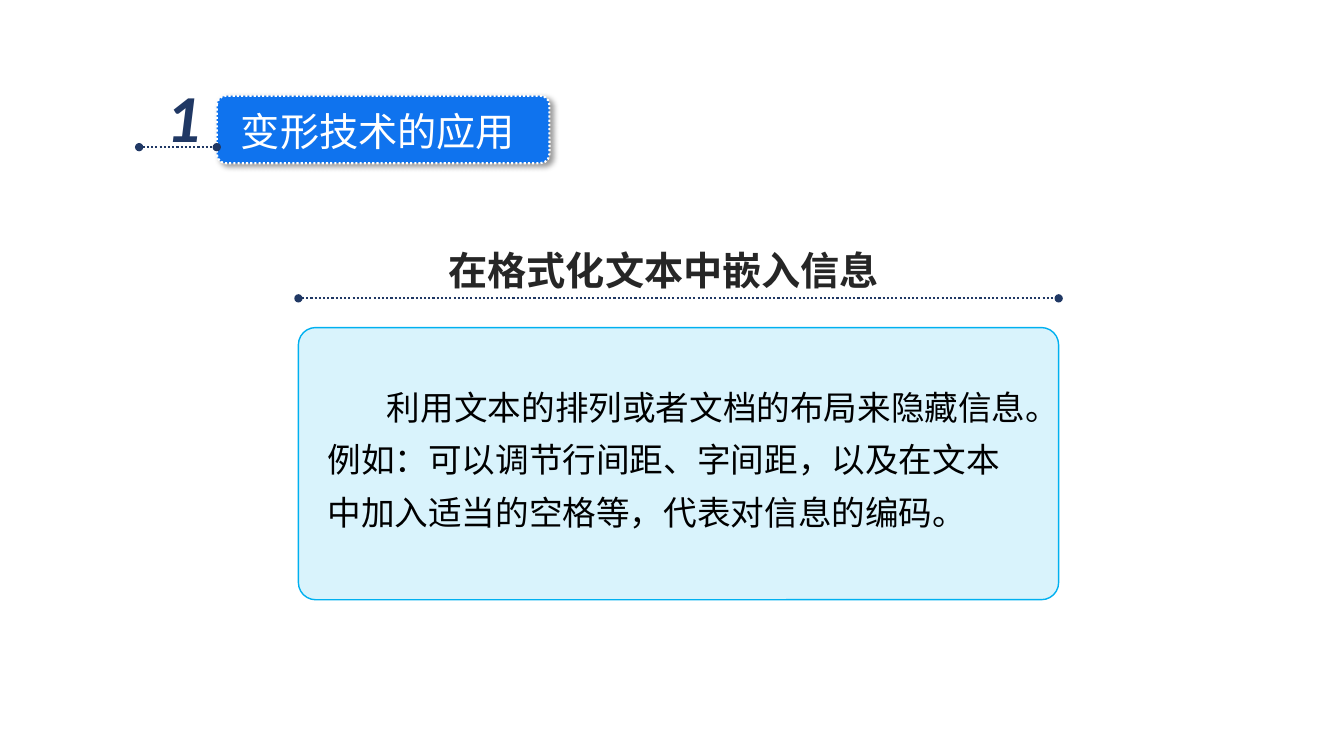
from lxml.etree import SubElement
from pptx import Presentation
from pptx.dml.color import RGBColor
from pptx.enum.dml import MSO_LINE
from pptx.enum.shapes import MSO_CONNECTOR, MSO_SHAPE
from pptx.enum.text import MSO_ANCHOR, MSO_AUTO_SIZE, PP_ALIGN
from pptx.oxml.ns import qn
from pptx.util import Emu, Pt

CJK = "Noto Sans CJK SC"
NAVY, BLUE, CYAN, WHITE = "203864", "0F73EE", "00B0F0", "FFFFFF"
INK, BLACK = "262626", "000000"


def px(n):
    """100 px make one inch."""
    return Emu(n * 9144)


def rgb(value):
    return RGBColor.from_string(value)


def add_xml(parent, tag, **attrs):
    return SubElement(parent, qn(tag), {k: str(v) for k, v in attrs.items()})


def style_line(line, color, width, dash=None):
    line.color.rgb = rgb(color)
    line.width = Pt(width)
    if dash:
        line.dash_style = dash


def write(sp, text, color, size, font, wrap=False, spacing=1.0, **font_format):
    """Fill a text box or placeholder with one left-aligned paragraph."""
    tf = sp.text_frame
    frame_format = {"word_wrap": wrap, "auto_size": MSO_AUTO_SIZE.SHAPE_TO_FIT_TEXT,
                    "vertical_anchor": MSO_ANCHOR.TOP}
    for name, value in frame_format.items():
        setattr(tf, name, value)
    p = tf.paragraphs[0]
    p.alignment = PP_ALIGN.LEFT
    p.line_spacing = spacing
    r = p.add_run()
    r.text = text
    for name, value in {"size": Pt(size), "name": font, **font_format}.items():
        setattr(r.font, name, value)
    r.font.color.rgb = rgb(color)
    add_xml(r.font._element, "a:ea", typeface=CJK)
    return p


def add_text(s, x, y, w, h, *args, **kwargs):
    return write(s.shapes.add_textbox(px(x), px(y), px(w), px(h)), *args, **kwargs)


def add_box(s, x, y, w, h, radius, fill):
    sp = s.shapes.add_shape(MSO_SHAPE.ROUNDED_RECTANGLE, px(x), px(y), px(w), px(h))
    sp.adjustments[0] = radius
    sp.shadow.inherit = False
    sp.fill.solid()
    sp.fill.fore_color.rgb = rgb(fill)
    return sp


def add_dotted_rule(s, x, y, w):
    """Dotted line with a round dot at each end."""
    rule = s.shapes.add_connector(MSO_CONNECTOR.STRAIGHT, px(x), px(y), px(x + w), px(y))
    style_line(rule.line, NAVY, 1.5, MSO_LINE.ROUND_DOT)
    ln = rule.line._get_or_add_ln()
    for end in ("a:headEnd", "a:tailEnd"):
        add_xml(ln, end, type="oval")
    add_xml(rule._element.spPr, "a:effectLst")


def add_header(s, x, y, w, h, number, text):
    """Numbered blue label holding the slide title."""
    label = add_box(s, x, y, w, h, 0.137, BLUE)
    style_line(label.line, WHITE, 1.5, MSO_LINE.ROUND_DOT)
    effects = label._element.spPr.find(qn("a:effectLst"))
    shadow = add_xml(effects, "a:outerShdw", blurRad=Pt(4), dist=Pt(3),
                     dir=45 * 60000, algn="tl", rotWithShape=0)
    add_xml(add_xml(shadow, "a:srgbClr", val=BLACK), "a:alpha", val=40000)

    title = s.shapes.title
    box = {"left": x + 14, "top": y + 6, "width": w - 35, "height": h - 10}
    for name, value in box.items():
        setattr(title, name, px(value))
    write(title, text, WHITE, 28, CJK)
    s.shapes._spTree.append(title._element)  # in front of the label

    add_text(s, x - 60, y - 25, 54, 91, number, NAVY, 48, "Calibri", bold=True, italic=True)
    add_dotted_rule(s, x - 77, y + 51, 77)


def add_panel(s, x, y, w, h, heading, body):
    """Heading, dotted rule and tinted box with the explanation."""
    add_dotted_rule(s, x, y + 57, w)
    panel = add_box(s, x, y + 86, w, h - 86, 0.063, CYAN)
    clr = panel._element.spPr.find(qn("a:solidFill")).find(qn("a:srgbClr"))
    add_xml(clr, "a:alpha", val=15000)
    style_line(panel.line, CYAN, 1)

    p = add_text(s, x + 19, y + 128, w - 37, 168, body, BLACK, 24, CJK,
                 wrap=True, spacing=1.3)
    p._p.get_or_add_pPr().set("indent", str(px(59)))
    add_text(s, x + 139, y, 464, 57, heading, INK, 28, "Arial", bold=True)


def main():
    prs = Presentation()
    prs.slide_width, prs.slide_height = px(1333), px(750)
    s = prs.slides.add_slide(prs.slide_layouts[5])
    add_header(s, 215, 95, 330, 67, "1", "变形技术的应用")
    add_panel(s, 296, 239, 754, 356, "在格式化文本中嵌入信息",
              "利用文本的排列或者文档的布局来隐藏信息。例如：可以调节行间距、字间距，"
              "以及在文本中加入适当的空格等，代表对信息的编码。")
    prs.save("out.pptx")


if __name__ == "__main__":
    main()
